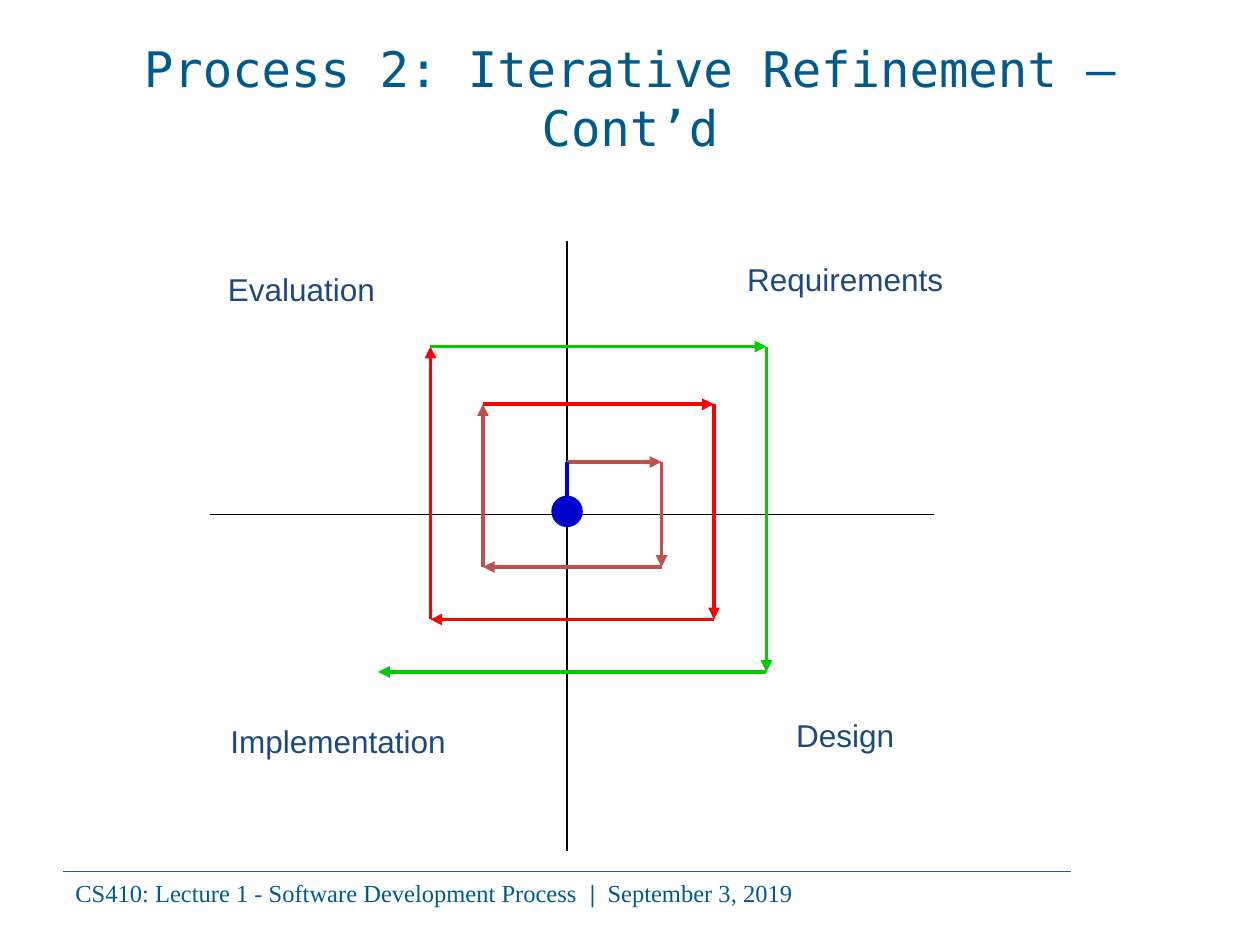
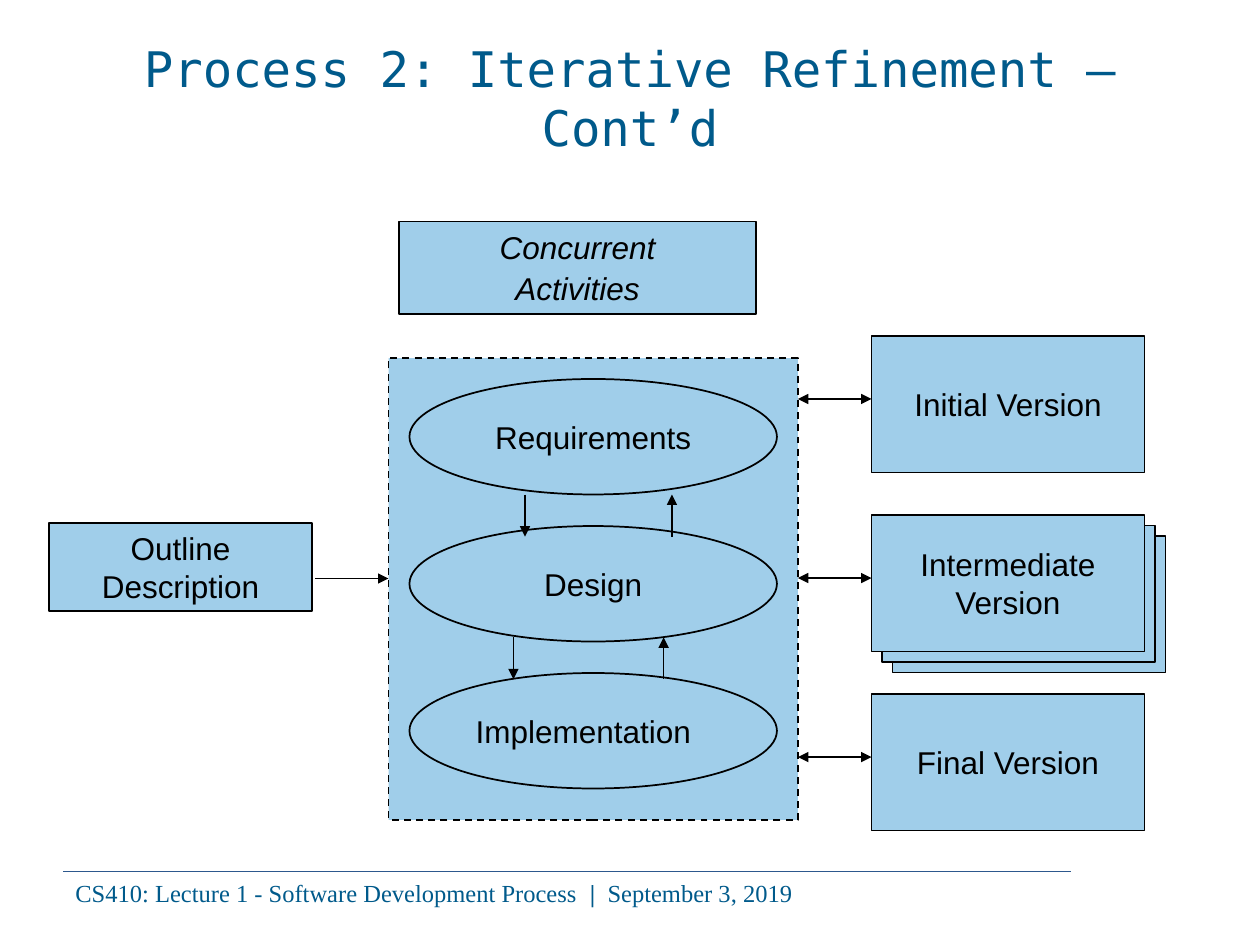
import itertools
from dataclasses import dataclass

import lxml.etree
import pptx
import pptx.dml.color
import pptx.enum.dml
import pptx.enum.shapes
import pptx.enum.text
import pptx.oxml.ns
import pptx.util

ALIGN = pptx.enum.text.PP_ALIGN
ANCHOR = pptx.enum.text.MSO_ANCHOR
SHAPE = pptx.enum.shapes.MSO_SHAPE
COLUMNS, ROWS = 120, 90


@dataclass(frozen=True)
class Theme:
    heading: str = "005A8B"
    rule: str = "2D588D"
    label: str = "1F497D"
    ink: str = "000000"
    panel: str = "A0CEEA"
    start: str = "0000CC"
    rounds: tuple = ("C0504D", "FF0000", "00CC00")
    title_font: str = "DejaVu Sans Mono"
    body_font: str = "Arial"
    footer_font: str = "Times New Roman"
    title_size: int = 28
    body_size: int = 18
    footer_size: int = 14
    hairline: float = 0.5
    outline: float = 1
    arrow: float = 2.25


def rgb(code):
    return pptx.dml.color.RGBColor.from_string(code)


def assign(target, values):
    for name, value in values.items():
        setattr(target, name, value)


class Slides:
    """Holds the deck, its theme and the current page; lengths are grid columns and rows."""

    def __init__(self, theme):
        self.theme = theme
        self.deck = pptx.Presentation()
        self.deck.slide_width = pptx.util.Inches(10)
        self.deck.slide_height = pptx.util.Inches(7.5)
        self.page = None

    def place(self, column, row):
        return (round(self.deck.slide_width * column / COLUMNS),
                round(self.deck.slide_height * row / ROWS))

    def start_page(self, title):
        theme = self.theme
        self.page = self.deck.slides.add_slide(self.deck.slide_layouts[5])
        self.line((6, 83), (102, 83), color=theme.rule, width=theme.hairline)
        footer = self.page.shapes.add_textbox(*self.place(6, 83), *self.place(96, 4))
        self.put_text(footer, [[("CS410: Lecture 1 - Software Development Process ", {}),
                                (" |  ", {"bold": True}),
                                ("September 3, 2019", {})]],
                      align=ALIGN.LEFT, color=theme.heading,
                      name=theme.footer_font, size=theme.footer_size)
        heading = self.page.shapes.title
        assign(heading, dict(zip(("left", "top", "width", "height"),
                                 self.place(6, 3.6) + self.place(108, 11.4))))
        self.put_text(heading, [title], anchor=ANCHOR.MIDDLE, color=theme.heading,
                      name=theme.title_font, size=theme.title_size)

    def put_text(self, box, paras, align=ALIGN.CENTER, anchor=ANCHOR.TOP, wrap=True,
                 color=None, gap=0, **font):
        """Fill a box with paragraphs, each a string or a list of (text, font values)."""
        frame = box.text_frame
        assign(frame, {"word_wrap": wrap, "vertical_anchor": anchor,
                       "auto_size": pptx.enum.text.MSO_AUTO_SIZE.NONE})
        look = {"name": self.theme.body_font, "size": self.theme.body_size, **font}
        look["size"] = pptx.util.Pt(look["size"])
        for index, spans in enumerate(paras):
            para = frame.add_paragraph() if index else frame.paragraphs[0]
            assign(para, {"alignment": align,
                          "space_before": pptx.util.Pt(gap if index else 0)})
            for text, values in [(spans, {})] if isinstance(spans, str) else spans:
                span = para.add_run()
                span.text = text
                assign(span.font, {**look, **values})
                span.font.color.rgb = rgb(color or self.theme.ink)

    def label(self, text, column, row, width):
        box = self.page.shapes.add_textbox(*self.place(column, row), *self.place(width, 4.8))
        self.put_text(box, [text], color=self.theme.label)

    def shape(self, kind, column, row, width, height, paras=(), fill=None,
              outlined=True, dashed=False, **text):
        box = self.page.shapes.add_shape(kind, *self.place(column, row),
                                         *self.place(width, height))
        box.shadow.inherit = False
        box.fill.solid()
        box.fill.fore_color.rgb = rgb(fill or self.theme.panel)
        if outlined:
            box.line.color.rgb = rgb(self.theme.ink)
            box.line.width = pptx.util.Pt(self.theme.outline)
        else:
            box.line.fill.background()
        if dashed:
            box.line.dash_style = pptx.enum.dml.MSO_LINE.DASH
        if paras:
            self.put_text(box, paras, **text)

    def line(self, begin, end, color=None, width=None, heads=()):
        """Draw a straight line; heads names the arrow ends, headEnd being at begin."""
        link = self.page.shapes.add_connector(pptx.enum.shapes.MSO_CONNECTOR.STRAIGHT,
                                              *self.place(*begin), *self.place(*end))
        link.line.color.rgb = rgb(color or self.theme.ink)
        link.line.width = pptx.util.Pt(width or self.theme.outline)
        qn = pptx.oxml.ns.qn
        properties = link.element.find(qn("p:spPr"))
        stroke = properties.find(qn("a:ln"))
        for head in heads:
            lxml.etree.SubElement(stroke, qn("a:" + head), type="triangle")
        lxml.etree.SubElement(properties, qn("a:effectLst"))


def draw_spiral(slides):
    theme = slides.theme
    slides.line((54, 23), (54, 81))
    slides.line((20, 49), (89, 49))
    for text, column, row, width in (("Requirements", 67, 24.2, 27),
                                     ("Design", 69, 67.6, 23),
                                     ("Implementation", 15.7, 68.2, 33),
                                     ("Evaluation", 15.7, 25.1, 26)):
        slides.label(text, column, row, width)
    corners = [(54, 44), (63, 44), (63, 54), (46, 54),
               (46, 38.5), (68, 38.5), (68, 59), (41, 59),
               (41, 33), (73, 33), (73, 64), (36, 64)]
    for index, (begin, end) in enumerate(itertools.pairwise(corners)):
        slides.line(begin, end, theme.rounds[index // 4], theme.arrow, ["tailEnd"])
    slides.shape(SHAPE.OVAL, 52.5, 47.2, 3, 3, fill=theme.start, outlined=False)
    slides.line((54, 48), (54, 44), theme.start, theme.arrow)


def draw_activities(slides):
    down, up, both = ["tailEnd"], ["headEnd"], ["headEnd", "tailEnd"]
    version_column, version_row, version_step = 83, 32, 17.05
    version_size = (26, 13)
    for shift in (2, 1):
        slides.shape(SHAPE.RECTANGLE, version_column + shift,
                     version_row + version_step + shift, *version_size)
    slides.shape(SHAPE.RECTANGLE, 4.7, 49.8, 25, 8.4, ["Outline", "Description"])
    slides.shape(SHAPE.RECTANGLE, 37, 34.1, 39, 44, dashed=True)
    slides.shape(SHAPE.RECTANGLE, 38, 21.1, 34, 8.8, ["Concurrent", "Activities"],
                 gap=2.2, italic=True)
    for index, (activity, align) in enumerate((("Requirements", ALIGN.CENTER),
                                               ("Design", ALIGN.CENTER),
                                               ("Implementation", ALIGN.LEFT))):
        slides.shape(SHAPE.OVAL, 39, 36.1 + 14 * index, 35, 11, [activity],
                     align=align, anchor=ANCHOR.MIDDLE, wrap=False)
    for index, version in enumerate(("Initial Version", "Intermediate Version",
                                     "Final Version")):
        row = version_row + version_step * index
        slides.shape(SHAPE.RECTANGLE, version_column, row, *version_size, [version],
                     anchor=ANCHOR.MIDDLE, wrap=index == 1)
        slides.line((76, row + 6), (version_column, row + 6), heads=both)
    slides.line((30, 55.1), (37, 55.1), heads=down)
    for column, row, heads in ((50, 47.1, down), (48.9, 60.7, down),
                               (64, 47.1, up), (63.2, 60.7, up)):
        slides.line((column, row), (column, row + 4), heads=heads)


def main():
    slides = Slides(Theme())
    for draw in (draw_spiral, draw_activities):
        slides.start_page("Process 2: Iterative Refinement – Cont’d")
        draw(slides)
    slides.deck.save("out.pptx")


if __name__ == "__main__":
    main()
